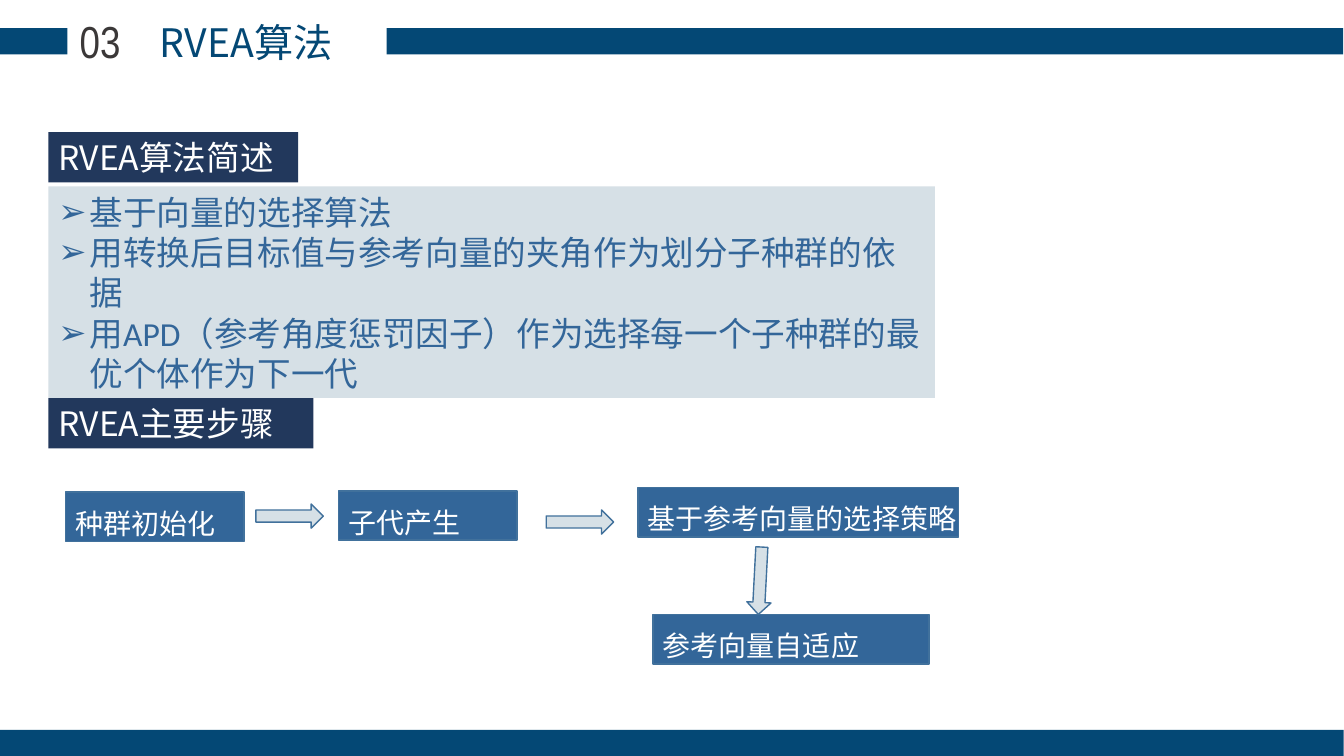
"""Build the RVEA algorithm slide: overview bullets and main-step flow."""
from dataclasses import dataclass

from lxml import etree
from pptx import Presentation
from pptx.dml.color import RGBColor
from pptx.enum.shapes import MSO_SHAPE
from pptx.enum.text import MSO_ANCHOR, PP_ALIGN
from pptx.oxml.ns import qn
from pptx.util import Cm, Pt

RECT, ARROW = MSO_SHAPE.RECTANGLE, MSO_SHAPE.RIGHT_ARROW
LEFT, CENTER = PP_ALIGN.LEFT, PP_ALIGN.CENTER
TOP = MSO_ANCHOR.TOP


@dataclass(frozen=True)
class Theme:
    bar: str = "044875"
    number: str = "3B3838"
    heading: str = "22385C"
    panel: str = "D6E0E6"
    step: str = "336699"
    outline: str = "41719C"
    white: str = "FFFFFF"
    cjk: str = "Noto Sans CJK SC"
    body: str = "Calibri"
    narrow: str = "Arial Narrow"
    number_size: int = 32
    title_size: int = 28
    text_size: int = 24
    step_size: int = 20


theme = Theme()
prs = Presentation()
prs.slide_width, prs.slide_height = Cm(33.88), Cm(19.05)
slide = prs.slides.add_slide(prs.slide_layouts[6])


def add_block(kind, left, top, width, height, fill, outline=None):
    block = slide.shapes.add_shape(kind, Cm(left), Cm(top), Cm(width), Cm(height))
    block.shadow.inherit = False
    block.fill.solid()
    block.fill.fore_color.rgb = RGBColor.from_string(fill)
    if outline:
        block.line.color.rgb = RGBColor.from_string(outline)
        block.line.width = Pt(1)
    else:
        block.line.fill.background()
    return block


def write(block, text, size, color, font=theme.cjk, align=LEFT, bullet=None):
    frame = block.text_frame
    frame.text = text
    frame.word_wrap = True
    frame.vertical_anchor = TOP
    for paragraph in frame.paragraphs:
        paragraph.alignment = align
        if bullet:
            props = paragraph._p.get_or_add_pPr()
            props.set("marL", str(Cm(0.79)))
            props.set("indent", str(-Cm(0.79)))
            etree.SubElement(props, qn("a:buFont"), typeface="Arial")
            etree.SubElement(props, qn("a:buChar"), char=bullet)
        for run in paragraph.runs:
            run.font.size = Pt(size)
            run.font.name = font
            run.font.color.rgb = RGBColor.from_string(color)
            etree.SubElement(run._r.get_or_add_rPr(), qn("a:ea"), typeface=theme.cjk)


for left, top, width in [(0, 0.71, 1.7), (9.75, 0.71, 24.11), (0, 18.39, 33.87)]:
    add_block(RECT, left, top, width, 0.66, theme.bar)

title = slide.shapes.add_textbox(Cm(1.63), Cm(0.33), Cm(9.14), Cm(1.45))
write(title, "RVEA算法", theme.title_size, theme.bar, align=CENTER)
number = slide.shapes.add_textbox(Cm(1.52), Cm(0.23), Cm(2.01), Cm(1.63))
write(number, "03", theme.number_size, theme.number, theme.narrow, CENTER)

overview = add_block(RECT, 1.22, 4.7, 22.35, 5.33, theme.panel)
points = [
    "基于向量的选择算法",
    "用转换后目标值与参考向量的夹角作为划分子种群的依据",
    "用APD（参考角度惩罚因子）作为选择每一个子种群的最优个体作为下一代",
]
write(overview, "\n".join(points), theme.text_size, theme.step, theme.body, bullet="➢")

for text, top, width in [("RVEA算法简述", 3.33, 6.3), ("RVEA主要步骤", 10.03, 6.68)]:
    heading = add_block(RECT, 1.22, top, width, 1.27, theme.heading)
    write(heading, text, theme.text_size, theme.white)

steps = [
    ("种群初始化", 1.65, 12.4, 4.5),
    ("子代产生", 8.53, 12.37, 4.5),
    ("基于参考向量的选择策略", 16.08, 12.29, 8.08),
    ("参考向量自适应", 16.46, 15.49, 6.96),
]
for text, left, top, width in steps:
    step = add_block(RECT, left, top, width, 1.24, theme.step, theme.outline)
    write(step, text, theme.step_size, theme.white)
    step.text_frame.margin_top = Cm(0.36)
    step.text_frame.margin_right = step.text_frame.margin_bottom = 0

for left, top, angle in [(6.45, 12.7, 0), (13.77, 12.85, 0), (18.31, 14.33, 93)]:
    arrow = add_block(ARROW, left, top, 1.7, 0.61, theme.panel, theme.outline)
    arrow.rotation = angle

prs.save("out.pptx")
